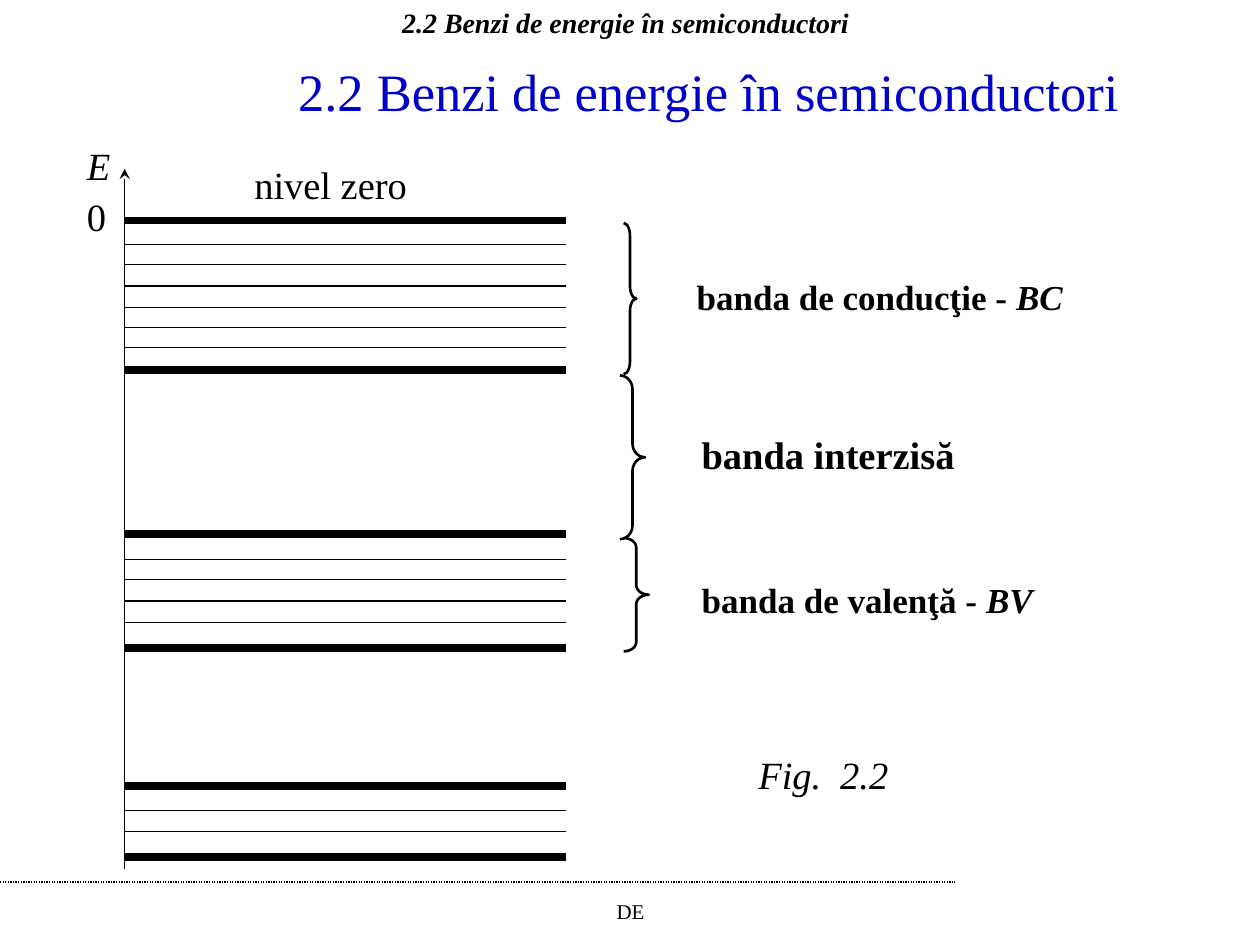
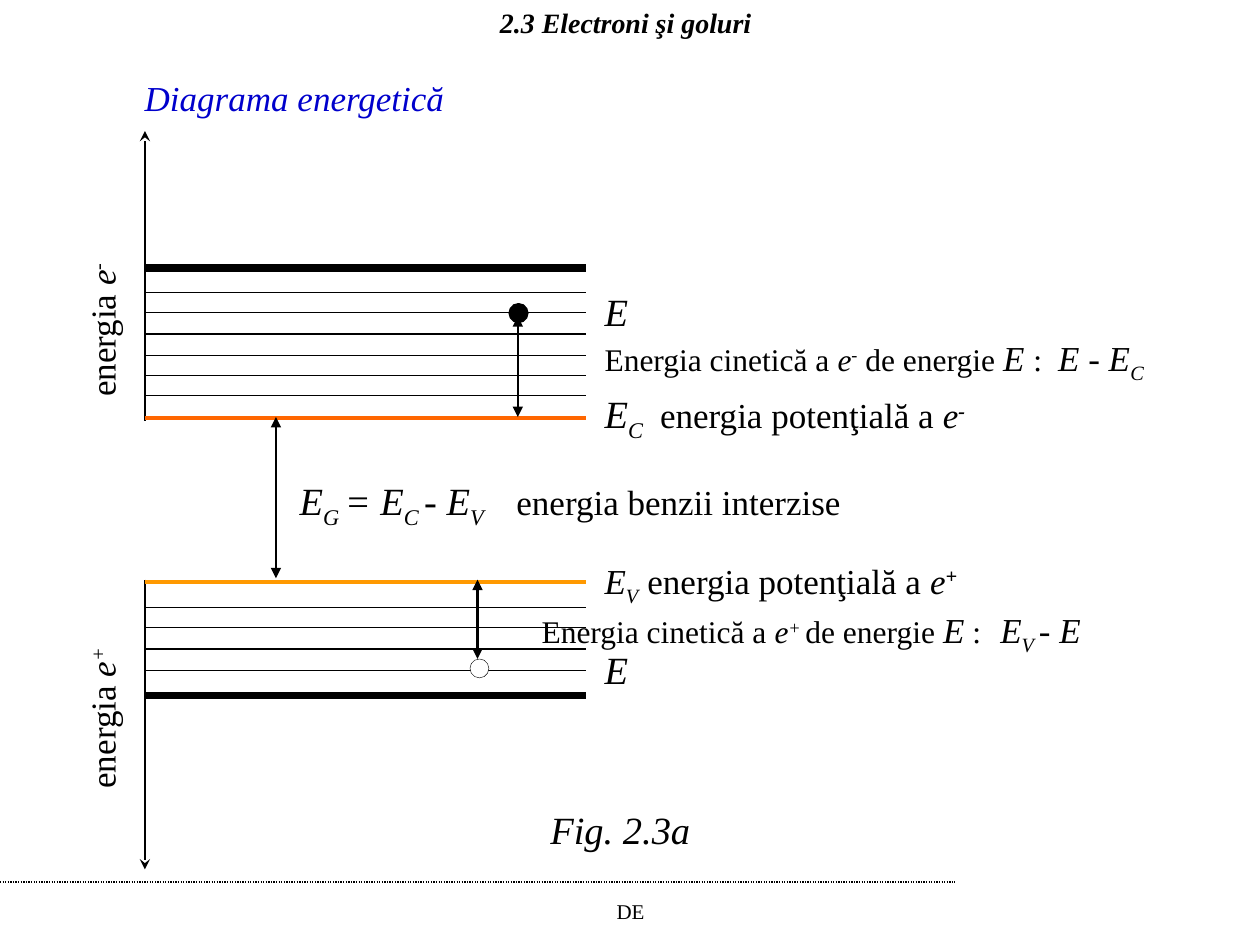
from lxml import etree
from pptx import Presentation
from pptx.dml.color import RGBColor
from pptx.enum.dml import MSO_LINE
from pptx.enum.shapes import MSO_CONNECTOR, MSO_SHAPE
from pptx.enum.text import MSO_ANCHOR, PP_ALIGN
from pptx.oxml.ns import qn
from pptx.util import Pt

PX = 9144
FONT = "Times New Roman"
BLACK = RGBColor(0x00, 0x00, 0x00)
WHITE = RGBColor(0xFF, 0xFF, 0xFF)
BLUE = RGBColor(0x00, 0x00, 0xCC)
ORANGE = RGBColor(0xFF, 0x66, 0x00)
AMBER = RGBColor(0xFF, 0x99, 0x00)
STRAIGHT = MSO_CONNECTOR.STRAIGHT
BRACE, OVAL = MSO_SHAPE.RIGHT_BRACE, MSO_SHAPE.OVAL
DOTTED = MSO_LINE.ROUND_DOT
LEFT, CENTER = PP_ALIGN.LEFT, PP_ALIGN.CENTER
TOP, MIDDLE = MSO_ANCHOR.TOP, MSO_ANCHOR.MIDDLE
BASELINES = {"_": "-25000", "^": "30000"}
THIN, MEDIUM, THICK = 0.75, 2.25, 4.5
LEVEL_STEP, BAND_WIDTH = 16.5, 350


def px(*lengths):
    return [length * PX for length in lengths]


def add_text(page, area, spans, size, color=BLACK, align=LEFT, anchor=TOP,
             tab=None, turn=0):
    """spans: (text, marks[, size]); marks are b, i, _ (subscript), ^ (superscript)."""
    box = page.shapes.add_textbox(*px(*area))
    box.rotation = turn
    frame = box.text_frame
    frame.word_wrap = True
    frame.vertical_anchor = anchor
    para = frame.paragraphs[0]
    para.alignment = align
    if tab:
        stops = etree.SubElement(para._p.get_or_add_pPr(), qn("a:tabLst"))
        etree.SubElement(stops, qn("a:tab"), pos=str(tab * PX), algn="l")
    for text, marks, *own_size in spans:
        span = para.add_run()
        span.text = text
        font = span.font
        font.name, font.size = FONT, Pt(own_size[0] if own_size else size)
        font.bold, font.italic = "b" in marks, "i" in marks
        font.color.rgb = color
        for mark, offset in BASELINES.items():
            if mark in marks:
                span._r.get_or_add_rPr().set("baseline", offset)


def add_line(page, start, end, width=THIN, color=BLACK, head=None, tail=None,
             dash=None):
    line = page.shapes.add_connector(STRAIGHT, *px(*start, *end))
    line.line.color.rgb = color
    line.line.width = Pt(width)
    if dash:
        line.line.dash_style = dash
    properties = line.element.spPr
    outline = properties.find(qn("a:ln"))
    for end_name, kind in (("a:headEnd", head), ("a:tailEnd", tail)):
        if kind:
            etree.SubElement(outline, qn(end_name), type=kind)
    etree.SubElement(properties, qn("a:effectLst"))


def add_double_arrow(page, x, top, bottom, width):
    add_line(page, (x, top), (x, bottom), width, head="triangle", tail="triangle")


def add_edge(page, left, y, width=THICK, color=BLACK):
    add_line(page, (left, y), (left + BAND_WIDTH, y), width, color)


def add_levels(page, left, first, count):
    for index in range(count):
        add_edge(page, left, round(first + index * LEVEL_STEP), THIN)


def add_brace(page, left, top, width, height):
    brace = page.shapes.add_shape(BRACE, *px(left, top, width, height))
    brace.shadow.inherit = False
    brace.adjustments[0] = height / 12 / width
    brace.fill.background()
    brace.line.color.rgb = BLACK
    brace.line.width = Pt(1.5)


def add_particle(page, left, top, fill, width):
    particle = page.shapes.add_shape(OVAL, *px(left, top, 15, 15))
    particle.shadow.inherit = False
    particle.fill.solid()
    particle.fill.fore_color.rgb = fill
    particle.line.color.rgb = BLACK
    particle.line.width = Pt(width)


def add_page(deck, heading):
    page = deck.slides.add_slide(deck.slide_layouts[6])
    add_line(page, (0, 700), (758, 700), dash=DOTTED)
    add_text(page, (342, 708, 317, 27), [("DE", "")], 12, align=CENTER)
    add_text(page, (32, 0, 929, 36), [(heading, "bi")], 16, align=CENTER,
             anchor=MIDDLE)
    return page


def build_energy_bands(deck):
    title = "2.2 Benzi de energie în semiconductori"
    page = add_page(deck, title)
    add_text(page, (175, 42, 775, 60), [(title, "")], 30, BLUE, CENTER)
    axis = 99
    add_line(page, (axis, 690), (axis, 134), tail="stealth")
    for top, bottom, first, count in ((175, 294, 194, 6), (424, 514, 444, 4),
                                      (624, 680, 643, 2)):
        add_edge(page, axis, top)
        add_levels(page, axis, first, count)
        add_edge(page, axis, bottom)
    for area in ((495, 177, 10, 120), (492, 298, 20, 130), (495, 427, 20, 90)):
        add_brace(page, *area)
    add_text(page, (59, 108, 42, 47), [("E", "i")], 22)
    add_text(page, (59, 148, 42, 47), [("0", "")], 22)
    add_text(page, (192, 123, 225, 47), [("nivel zero", "")], 22)
    add_text(page, (543, 214, 358, 44),
             [("banda de conducţie - ", "b"), ("BC", "bi")], 20)
    add_text(page, (547, 337, 258, 47), [("banda interzisă", "b")], 22)
    add_text(page, (547, 454, 308, 44),
             [("banda de valenţă - ", "b"), ("BV", "bi")], 20)
    add_text(page, (592, 591, 181, 47), [("Fig.\t2.2", "i")], 22, tab=65)


def build_electrons_and_holes(deck):
    page = add_page(deck, "2.3 Electroni şi goluri")
    axis = 115
    add_text(page, (105, 56, 340, 44), [("Diagrama energetică", "i")], 20, BLUE)
    add_line(page, (axis, 334), (axis, 104), tail="stealth")
    add_line(page, (axis, 460), (axis, 690), tail="stealth")
    add_edge(page, axis, 213)
    add_levels(page, axis, 232, 6)
    add_edge(page, axis, 332, MEDIUM, ORANGE)
    add_edge(page, axis, 462, MEDIUM, AMBER)
    add_levels(page, axis, 482, 4)
    add_edge(page, axis, 552)
    for top, charge in ((240, "-"), (548, "+")):
        add_text(page, (-37, top, 236, 44),
                 [("energia ", ""), ("e", "i"), (charge, "i^")], 20,
                 align=CENTER, turn=270)
    add_particle(page, 404, 241, BLACK, 0.75)
    add_particle(page, 373, 523, WHITE, 0.25)
    add_double_arrow(page, 219, 331, 459, THIN)
    add_double_arrow(page, 411, 251, 331, 1.5)
    add_double_arrow(page, 379, 460, 523, 1.5)
    for top in (224, 508):
        add_text(page, (470, top, 70, 47), [("E", "i")], 22)
    add_text(page, (470, 262, 505, 48),
             [("Energia cinetică a ", ""), ("e", "i"), ("-", "i^"),
              (" de energie ", ""), ("E ", "i", 20), (":\t", ""),
              ("E - E", "i", 20), ("C", "i_", 20)], 18, tab=360)
    add_text(page, (420, 478, 511, 48),
             [("Energia cinetică a ", ""), ("e", "i"), ("+ ", "i^"),
              ("de energie ", ""), ("E", "i", 20), (" :\t", ""),
              ("E", "i", 20), ("V ", "i_", 20), ("- E", "i", 20)], 18, tab=364)
    add_text(page, (470, 305, 365, 52),
             [("E", "i", 22), ("C\t", "i_", 22), ("energia potenţială a ", ""),
              ("e", "i"), ("-", "bi^")], 20, tab=44)
    add_text(page, (470, 439, 340, 48),
             [("E", "i"), ("V\t", "i_"), ("energia potenţială a ", ""),
              ("e", "i"), ("+", "bi^")], 20, tab=34)
    add_text(page, (228, 374, 501, 52),
             [("E", "i"), ("G ", "i_"), ("= E", "i"), ("C ", "i_"),
              ("- E", "i"), ("V\t", "i_"),
              ("energia benzii interzise", "", 20)], 22, tab=172)
    add_text(page, (427, 635, 147, 47), [("Fig. 2.3a", "i")], 22)


def main():
    deck = Presentation()
    deck.slide_width, deck.slide_height = px(1000, 750)
    build_energy_bands(deck)
    build_electrons_and_holes(deck)
    deck.save("out.pptx")


if __name__ == "__main__":
    main()
